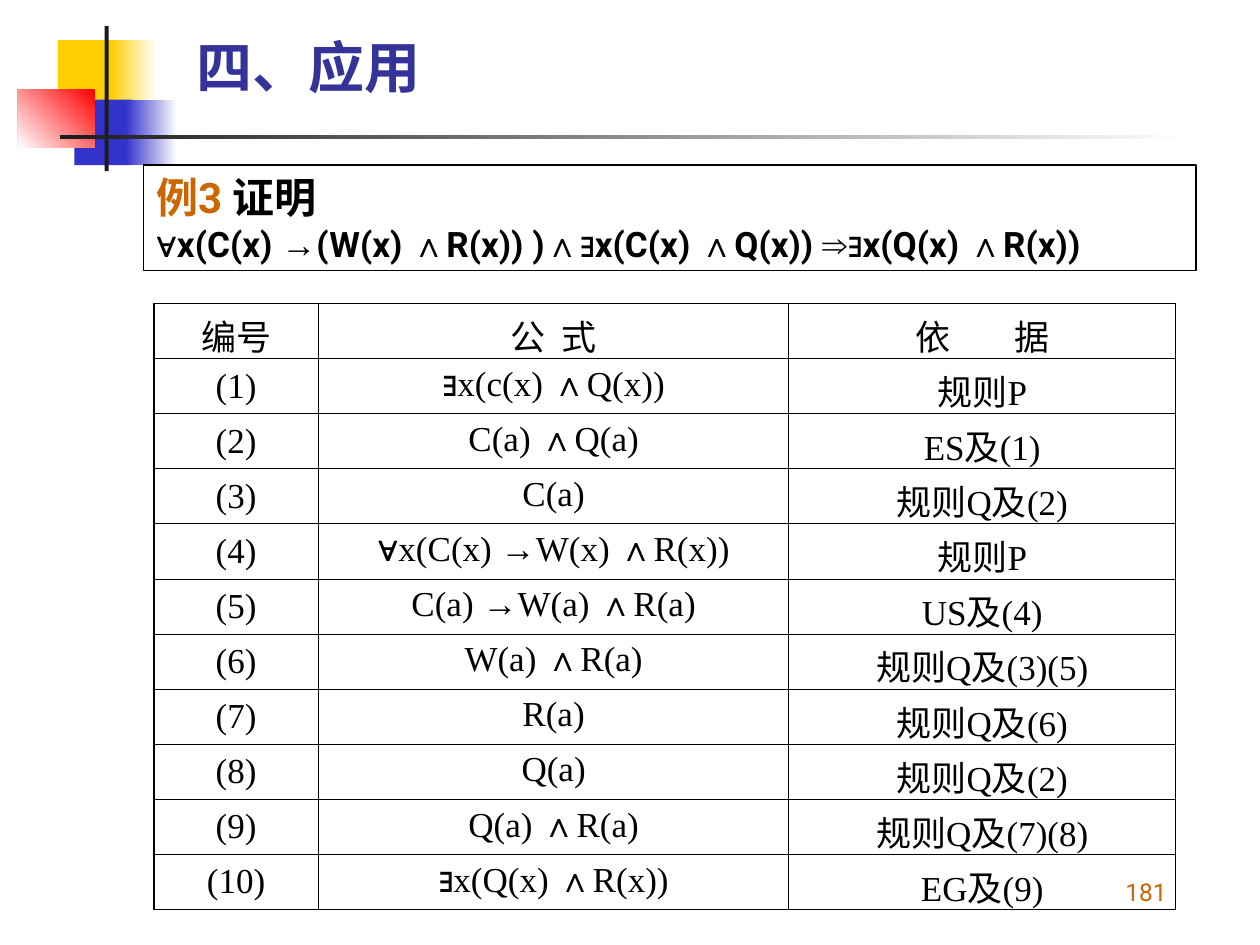
"""Builds a slide with a predicate logic proof set out in a table."""
import itertools

import pptx
import pptx.dml.color
import pptx.enum.shapes
import pptx.enum.text
import pptx.oxml
import pptx.oxml.ns
import pptx.util
from pptx.util import Cm

ANCHOR = pptx.enum.text.MSO_ANCHOR
ALIGN = pptx.enum.text.PP_ALIGN
SYMBOLS = "∀∃∧→⇒"
BLACK, WHITE, ORANGE = "000000", "FFFFFF", "CC6600"
YELLOW, BLUE, RED, CHARCOAL = "FFCF01", "3333CC", "FF0000", "1C1C1C"

DECORATIONS = [
    ((1.17, 0.81, 1.22, 1.32), [YELLOW], 0),
    ((2.24, 0.81, 0.91, 1.32), [WHITE, YELLOW], 180),
    ((1.5, 2.01, 1.17, 1.32), [BLUE], 0),
    ((2.54, 2.01, 1.02, 1.32), [WHITE, BLUE], 180),
    ((0.36, 1.8, 1.55, 1.17), [RED, WHITE], 225),
    ((2.11, 0.53, 0.08, 2.92), [CHARCOAL], 0),
    ((1.22, 2.72, 22.86, 0.08), [WHITE, CHARCOAL], 180),
]
HEADERS = [("编号", 0), ("公 式", 5), ("依 据", 32)]
STEPS = [
    ("∃x(c(x) ∧Q(x))", "规则P"),
    ("C(a) ∧Q(a)", "ES及(1)"),
    ("C(a)", "规则Q及(2)"),
    ("∀x(C(x) →W(x) ∧R(x))", "规则P"),
    ("C(a) →W(a) ∧R(a)", "US及(4)"),
    ("W(a) ∧R(a)", "规则Q及(3)(5)"),
    ("R(a)", "规则Q及(6)"),
    ("Q(a)", "规则Q及(2)"),
    ("Q(a) ∧R(a)", "规则Q及(7)(8)"),
    ("∃x(Q(x) ∧R(x))", "EG及(9)"),
]
COLUMN_WIDTHS = [3.32, 9.48, 7.8]
ROW_HEIGHT = 1.11


def rgb(value):
    """Turn a hex string into a colour."""
    return pptx.dml.color.RGBColor.from_string(value)


def add_span(para, text, font, size, color=BLACK, bold=False):
    """Append one formatted run."""
    span = para.add_run()
    span.text = text
    span.font.name, span.font.size, span.font.bold = font, pptx.util.Pt(size), bold
    span.font.color.rgb = rgb(color)
    return span


def add_formula(para, text, font, size, bold=False):
    """Append text whose logic symbols are set in Arial."""
    for is_symbol, letters in itertools.groupby(text, lambda letter: letter in SYMBOLS):
        add_span(para, "".join(letters), "Arial" if is_symbol else font, size, bold=bold)


def add_block(page, place, colors, angle=0):
    """Draw a rectangle with a plain or two-colour gradient fill."""
    box = page.shapes.add_shape(
        pptx.enum.shapes.MSO_SHAPE.RECTANGLE, *[Cm(length) for length in place])
    box.shadow.inherit = False
    box.line.fill.background()
    if len(colors) == 1:
        box.fill.solid()
        box.fill.fore_color.rgb = rgb(colors[0])
    else:
        box.fill.gradient()
        box.fill.gradient_angle = angle
        for stop, color in zip(box.fill.gradient_stops, colors):
            stop.color.rgb = rgb(color)
    return box


def add_label(page, place, text, size, color, bold, anchor, align):
    """Add a one-line text box."""
    frame = page.shapes.add_textbox(*[Cm(length) for length in place]).text_frame
    frame.word_wrap = True
    frame.vertical_anchor = anchor
    frame.paragraphs[0].alignment = align
    add_span(frame.paragraphs[0], text, "Roboto", size, color, bold)


def add_statement(page):
    """Add the framed statement to be proved."""
    box = add_block(page, (2.9, 3.33, 21.21, 2.13), [WHITE])
    box.line.color.rgb = rgb(BLACK)
    box.line.width = pptx.util.Pt(0.75)
    frame = box.text_frame
    frame.vertical_anchor = ANCHOR.MIDDLE
    heading, formula = frame.paragraphs[0], frame.add_paragraph()
    heading.alignment = formula.alignment = ALIGN.LEFT
    add_span(heading, "例3 ", "Roboto", 24, ORANGE, True)
    add_span(heading, "证明", "Roboto", 24, BLACK, True)
    add_formula(formula, "∀x(C(x) →(W(x) ∧R(x)) )∧∃x(C(x) ∧Q(x)) ⇒∃x(Q(x) ∧R(x))",
                "Roboto", 20, True)


def set_borders(cell, outer_sides):
    """Draw thin cell borders, thicker on the outer sides."""
    properties = cell._tc.get_or_add_tcPr()
    for position, side in enumerate("LRTB"):
        width = pptx.util.Pt(0.96 if side in outer_sides else 0.45)
        properties.insert(position, pptx.oxml.parse_xml(
            f'<a:ln{side} {pptx.oxml.ns.nsdecls("a")} w="{width}">'
            f'<a:solidFill><a:srgbClr val="{BLACK}"/></a:solidFill></a:ln{side}>'))


def add_header(para, text, gap):
    """Write a column heading, widening its space by some points."""
    for part in text.partition(" "):
        if part:
            span = add_span(para, part, "Times New Roman", 20)
            if part == " ":
                span.font._element.set("spc", str(gap * 100))


def add_proof(page):
    """Add the table of numbered proof steps."""
    row_count, column_count = len(STEPS) + 1, len(HEADERS)
    table = page.shapes.add_table(
        row_count, column_count, Cm(3.1), Cm(6.12),
        Cm(sum(COLUMN_WIDTHS)), Cm(ROW_HEIGHT * row_count)).table
    table.first_row = table.horz_banding = False
    for column, width in zip(table.columns, COLUMN_WIDTHS):
        column.width = Cm(width)
    for r, row in enumerate(table.rows):
        row.height = Cm(ROW_HEIGHT)
        for c, cell in enumerate(row.cells):
            cell.fill.background()
            cell.vertical_anchor = ANCHOR.TOP if c else ANCHOR.MIDDLE
            outer = {"L": c == 0, "R": c == column_count - 1,
                     "T": r == 0, "B": r == row_count - 1}
            set_borders(cell, [side for side in outer if outer[side]])
            para = cell.text_frame.paragraphs[0]
            para.alignment = ALIGN.CENTER
            if r == 0:
                add_header(para, *HEADERS[c])
            else:
                add_formula(para, (f"({r})", *STEPS[r - 1])[c], "Times New Roman", 20)


def main():
    """Build and save the deck."""
    deck = pptx.Presentation()
    deck.slide_width, deck.slide_height = Cm(25.4), Cm(19.05)
    page = deck.slides.add_slide(deck.slide_layouts[6])
    for place, colors, angle in DECORATIONS:
        add_block(page, place, colors, angle)
    add_label(page, (3.71, 0.13, 20.42, 2.39), "四、应用", 32, "333399", True,
              ANCHOR.MIDDLE, ALIGN.LEFT)
    add_statement(page)
    add_proof(page)
    add_label(page, (18.49, 17.12, 5.28, 1.27), "181", 14, ORANGE, False,
              ANCHOR.BOTTOM, ALIGN.RIGHT)
    deck.save("out.pptx")


if __name__ == "__main__":
    main()
